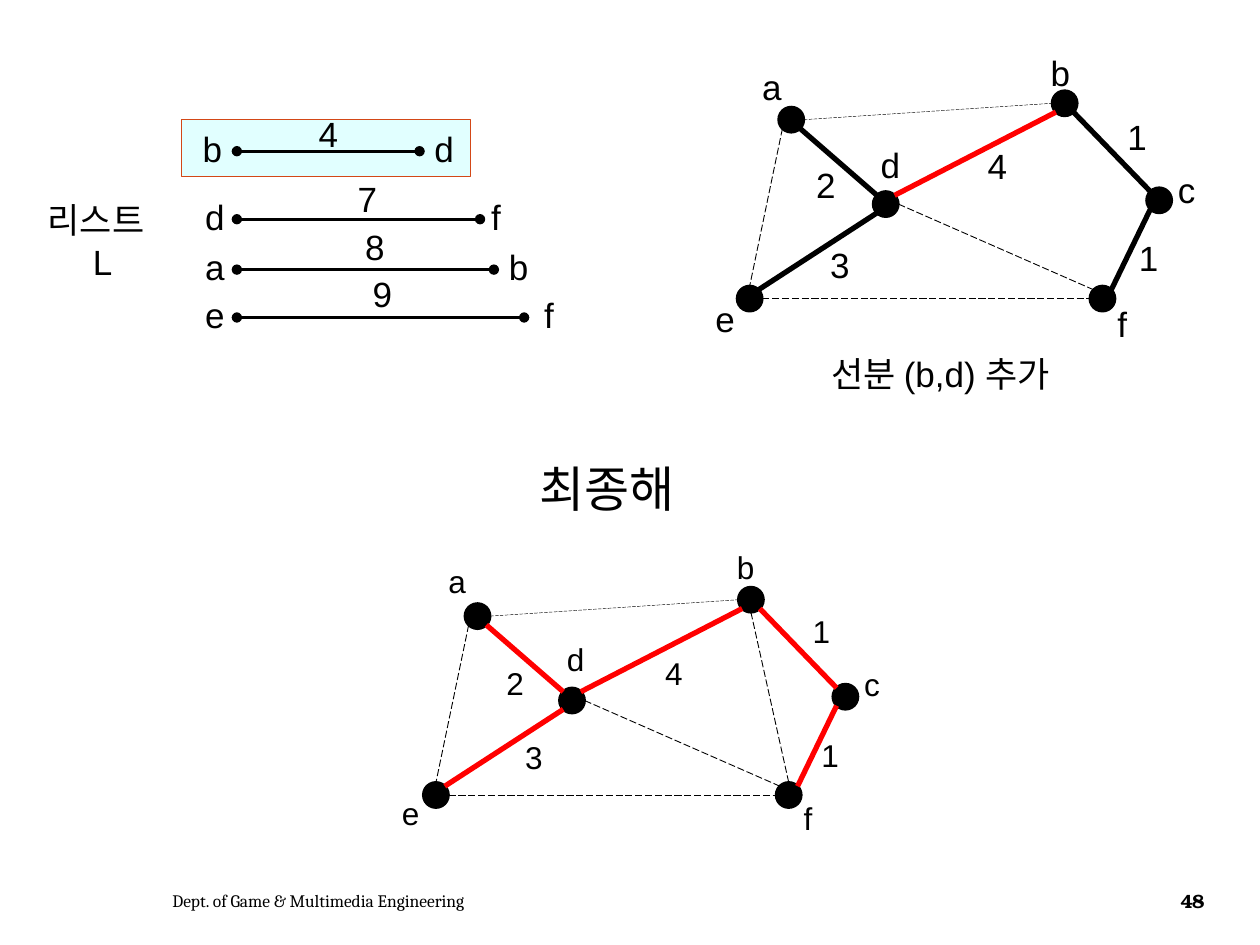
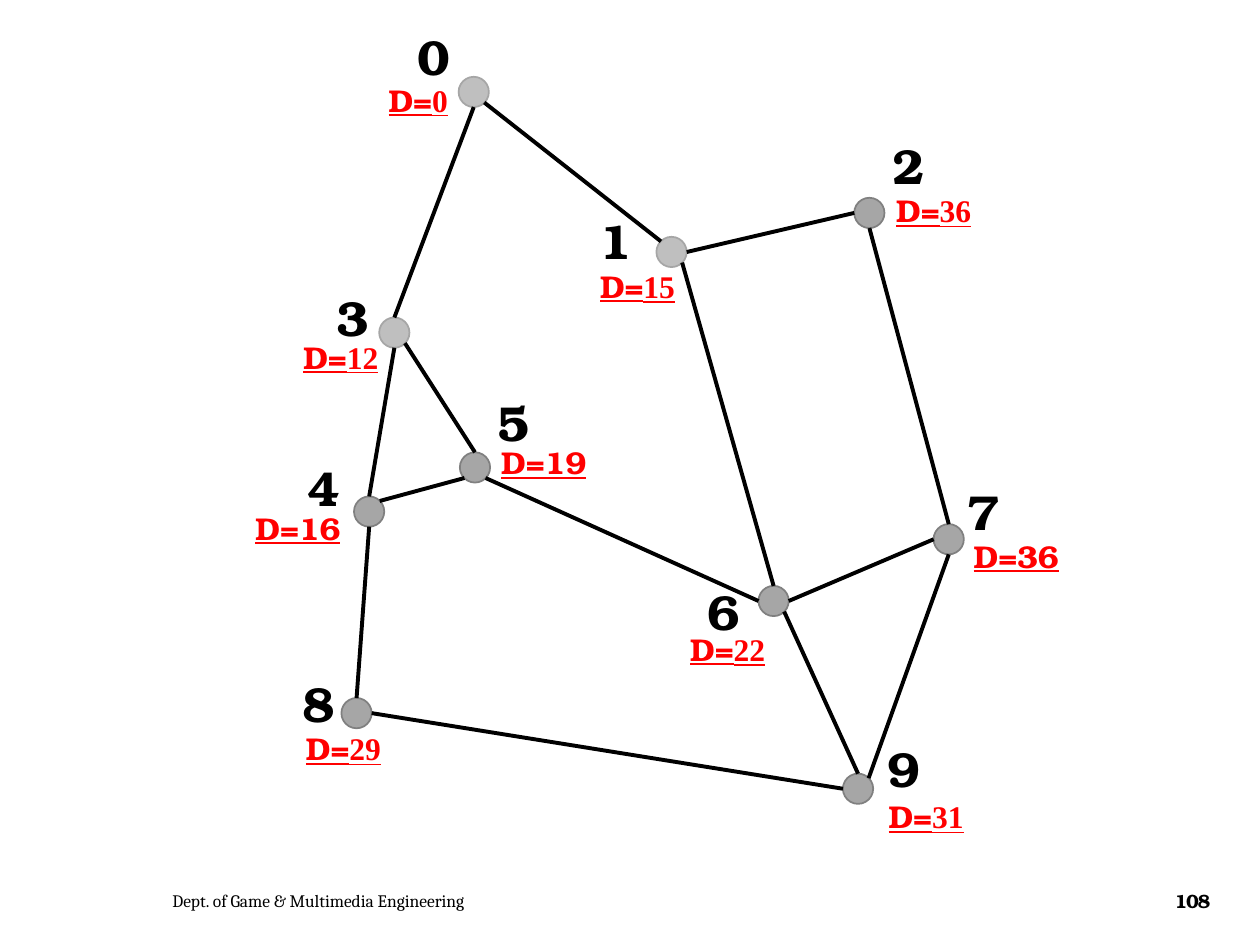
"""Build two slides: the last step of a spanning tree and a shortest-path graph."""
from lxml.etree import SubElement
from pptx import Presentation
from pptx.dml.color import RGBColor as RGB
from pptx.enum.dml import MSO_LINE
from pptx.enum.shapes import MSO_CONNECTOR as CONN, MSO_SHAPE as SHAPE
from pptx.enum.text import MSO_ANCHOR as ANCHOR, PP_ALIGN as ALIGN
from pptx.oxml.ns import qn
from pptx.util import Pt

PX = 9144
COLORS = {
    "black": "000000", "white": "FFFFFF", "red": "FF0000", "pale": "E1FFFF",
    "rust": "D34817", "light": "BFBFBF", "mid": "A6A6A6", "dark": "808080",
}
SANS, SERIF, SLAB, ROMAN = "Arial", "Cambria", "TeX Gyre Bonum", "Times New Roman"
SITES = {
    "N": (0, -1), "S": (0, 1), "E": (1, 0), "W": (-1, 0),
    "NE": (0.7, -0.7), "NW": (-0.7, -0.7), "SE": (0.7, 0.7), "SW": (-0.7, 0.7),
}
STYLES = {
    "tree": dict(width=3),
    "new": dict(width=3, color="red"),
    "rest": dict(width=0.5, dash=True),
    "faint": dict(width=0.25, dash=True),
    "road": dict(width=2.25),
}


def text(s, x, y, w, h, *paras, size=20, font=SANS, color="black", bold=False,
         underline=False, align=ALIGN.LEFT, anchor=ANCHOR.TOP, spacing=None):
    """Add a text box; a paragraph is a string or a list of (text, font) runs."""
    tf = s.shapes.add_textbox(x * PX, y * PX, w * PX, h * PX).text_frame
    tf.word_wrap = True
    tf.vertical_anchor = anchor
    for i, para in enumerate(paras):
        p = tf.paragraphs[0] if i == 0 else tf.add_paragraph()
        p.alignment = align
        for words, face in [(para, font)] if isinstance(para, str) else para:
            r = p.add_run()
            r.text = words
            r.font.name, r.font.size = face, Pt(size)
            r.font.bold, r.font.underline = bold, underline
            r.font.color.rgb = RGB.from_string(COLORS[color])
            if spacing:
                r.font._element.set("spc", str(spacing))
    return tf


def line(s, start, end, width=1.5, color="black", dash=False, dots=False):
    """Add a straight line, dashed or with dots at both ends on request."""
    c = s.shapes.add_connector(CONN.STRAIGHT, *(round(v * PX) for v in (*start, *end)))
    c.line.width = Pt(width)
    c.line.color.rgb = RGB.from_string(COLORS[color])
    if dash:
        c.line.dash_style = MSO_LINE.LONG_DASH
    sp_pr = c._element.spPr
    if dots:
        for tag in ("a:headEnd", "a:tailEnd"):
            SubElement(sp_pr.find(qn("a:ln")), qn(tag), type="oval")
    SubElement(sp_pr, qn("a:effectLst"))


prs = Presentation()
prs.slide_width, prs.slide_height = 1000 * PX, 750 * PX
slides = []
for number in ("48", "108"):
    s = prs.slides.add_slide(prs.slide_layouts[6])
    text(s, 127, 695, 459, 40, "Dept. of Game & Multimedia Engineering",
         size=10, font=SERIF, anchor=ANCHOR.MIDDLE)
    text(s, 920, 695, 53, 40, number, size=11, font=SLAB, bold=True,
         align=ALIGN.CENTER, anchor=ANCHOR.MIDDLE, spacing=-70)
    slides.append(s)
tree_slide, path_slide = slides

tree_nodes = {
    "a": (628, 95), "b": (845, 82), "c": (920, 159),
    "d": (703, 162), "e": (595, 237), "f": (875, 237),
}
tree_edges = [
    ("a SE d NW", "tree"), ("d SW e NE", "tree"), ("a SW e N", "rest"),
    ("d E f NW", "rest"), ("e E f W", "rest"), ("a E b W", "faint"),
    ("d NE b SW", "new"), ("c NW b SE", "tree"), ("f NE c SW", "tree"),
]
path_nodes = {
    "0": (376, 73), "1": (533, 200), "2": (690, 169), "3": (313, 264), "4": (293, 406),
    "5": (377, 371), "6": (614, 477), "7": (753, 428), "8": (283, 566), "9": (681, 626),
}
path_edges = [(edge, "road") for edge in (
    "0 S 3 N", "6 W 5 SE", "6 N 1 SE", "7 W 6 E", "9 N 6 SE", "9 W 8 E", "5 N 3 SE",
    "5 SW 4 NE", "8 N 4 S", "2 W 1 E", "4 N 3 S", "1 NW 0 SE", "7 N 2 S", "9 NE 7 S")]
SHIFT_X, SHIFT_Y = -249, 394
final_nodes = {k: (x + SHIFT_X, y + SHIFT_Y) for k, (x, y) in tree_nodes.items()}
final_edges = [(edge, "new" if kind == "tree" else kind) for edge, kind in tree_edges]
final_edges.append(("b S f N", "rest"))

for s, nodes, edges, radius, outline in (
        (tree_slide, tree_nodes, tree_edges, 10, 1.5),
        (tree_slide, final_nodes, final_edges, 10, 1.5),
        (path_slide, path_nodes, path_edges, 12, 1)):
    for name, (x, y) in nodes.items():
        fill, edge_color = "black", "black"
        if s is path_slide:
            fill, edge_color = ("light", "mid") if name in "013" else ("mid", "dark")
        sp = s.shapes.add_shape(SHAPE.OVAL, (x - radius) * PX, (y - radius) * PX,
                                2 * radius * PX, 2 * radius * PX)
        sp.shadow.inherit = False
        sp.fill.solid()
        sp.fill.fore_color.rgb = RGB.from_string(COLORS[fill])
        sp.line.color.rgb = RGB.from_string(COLORS[edge_color])
        sp.line.width = Pt(outline)
    for edge, kind in edges:
        u, u_site, v, v_site = edge.split()
        ends = [[c + radius * d for c, d in zip(nodes[n], SITES[site])]
                for n, site in ((u, u_site), (v, v_site))]
        line(s, *ends, **STYLES[kind])

s = tree_slide
node_labels = [("a", 595, 47), ("b", 824, 36), ("c", 925, 129),
               ("d", 689, 109), ("e", 558, 231), ("f", 877, 235)]
weights = [("1", 885, 87), ("1", 894, 183), ("2", 638, 125), ("3", 649, 188), ("4", 774, 110)]
final_weights = [("1", 635, 481), ("1", 642, 579), ("2", 392, 522),
                 ("3", 407, 581), ("4", 518, 514)]
for label, x, y in node_labels + weights:
    text(s, x, y, 37, 44, label)
for label, x, y in [(n, x + SHIFT_X, y + SHIFT_Y) for n, x, y in node_labels] + final_weights:
    text(s, x, y, 35, 40, label, size=18)

sp = s.shapes.add_shape(SHAPE.RECTANGLE, 144 * PX, 95 * PX, 229 * PX, 45 * PX)
sp.shadow.inherit = False
sp.fill.solid()
sp.fill.fore_color.rgb = RGB.from_string(COLORS["pale"])
sp.line.color.rgb = RGB.from_string(COLORS["rust"])
sp.line.width = Pt(0.25)

LIST_X = 188
for y, right, start, start_x, end, end_x, weight, weight_x, weight_y in (
        (120, 333, "b", 151, "d", 335, "4", 243, 84),
        (174, 381, "d", 153, "f", 380, "7", 274, 136),
        (214, 392, "a", 153, "b", 394, "8", 280, 174),
        (252, 416, "e", 153, "f", 422, "9", 286, 211)):
    line(s, (right, y), (LIST_X, y), dots=True)
    text(s, start_x, y - 24, 37, 44, start)
    text(s, end_x, y - 24, 37, 44, end)
    text(s, weight_x, weight_y, 37, 44, weight)

tf = text(s, 28, 153, 107, 77, "리스트", "L")
tf.paragraphs[1].alignment = ALIGN.CENTER
text(s, 650, 275, 225, 44, "선분 (b,d) 추가")
text(s, 369, 359, 225, 57, "최종해", size=28, align=ALIGN.CENTER)

s = path_slide
for i, (x, y) in enumerate((
        (305, 16), (449, 162), (682, 103), (240, 223), (217, 358),
        (368, 307), (535, 457), (741, 377), (213, 530), (678, 581))):
    text(s, x, y, 79, 57, str(i), size=28, font=SLAB, bold=True, align=ALIGN.CENTER)
for distance, x, y, w, face, align in (
        ("0", 294, 59, 76, ROMAN, ALIGN.CENTER),
        ("15", 463, 207, 86, ROMAN, ALIGN.CENTER),
        ("36", 690, 147, 102, ROMAN, ALIGN.CENTER),
        ("12", 224, 263, 93, ROMAN, ALIGN.CENTER),
        ("16", 162, 399, 149, SLAB, ALIGN.CENTER),
        ("19", 388, 347, 94, SLAB, ALIGN.LEFT),
        ("22", 538, 495, 143, ROMAN, ALIGN.LEFT),
        ("36", 763, 421, 157, SLAB, ALIGN.LEFT),
        ("29", 233, 574, 101, ROMAN, ALIGN.LEFT),
        ("31", 678, 628, 114, ROMAN, ALIGN.CENTER)):
    text(s, x, y, w, 40, [("D=", SLAB), (distance, face)], size=18, color="red",
         bold=True, underline=True, align=align)

prs.save("out.pptx")
